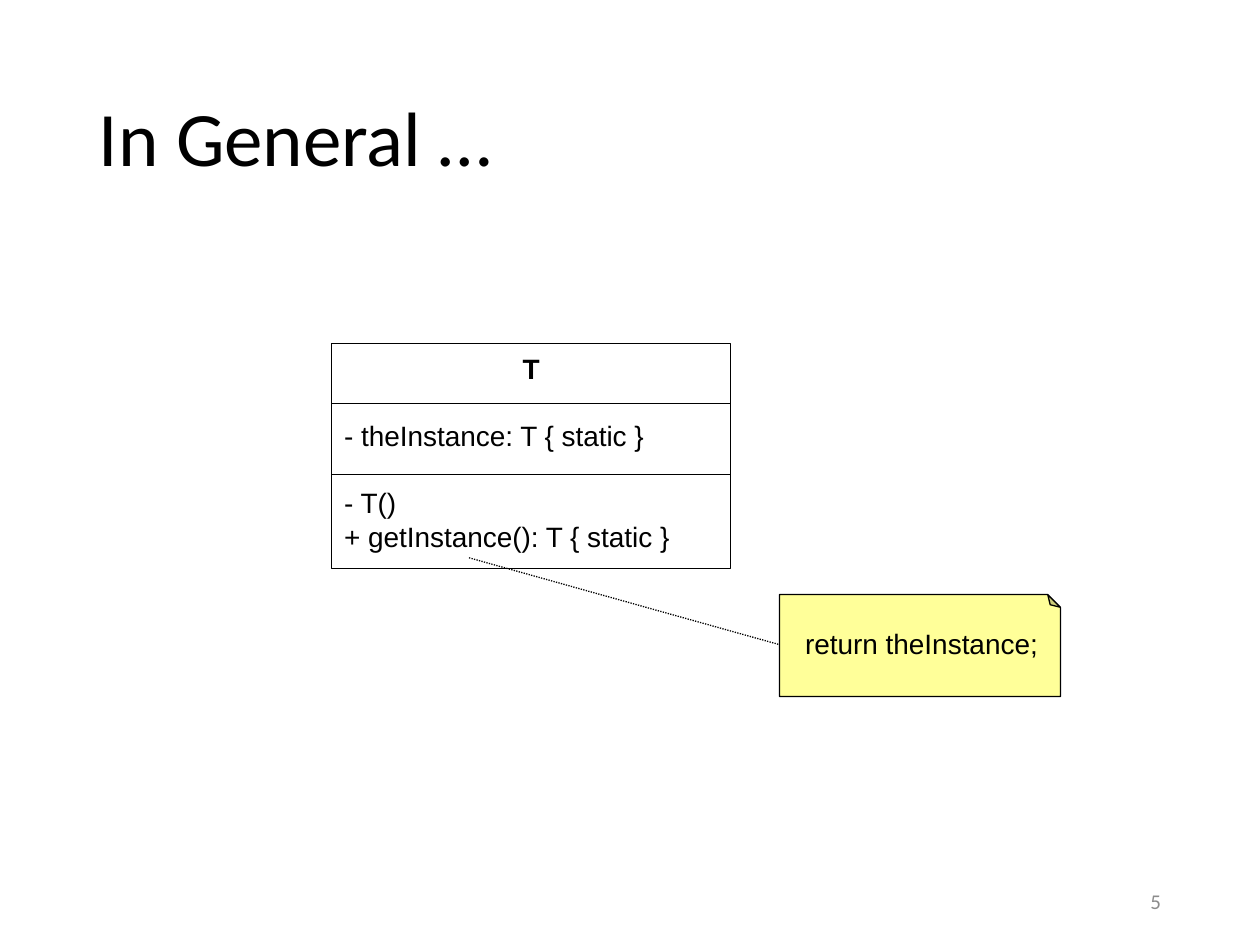
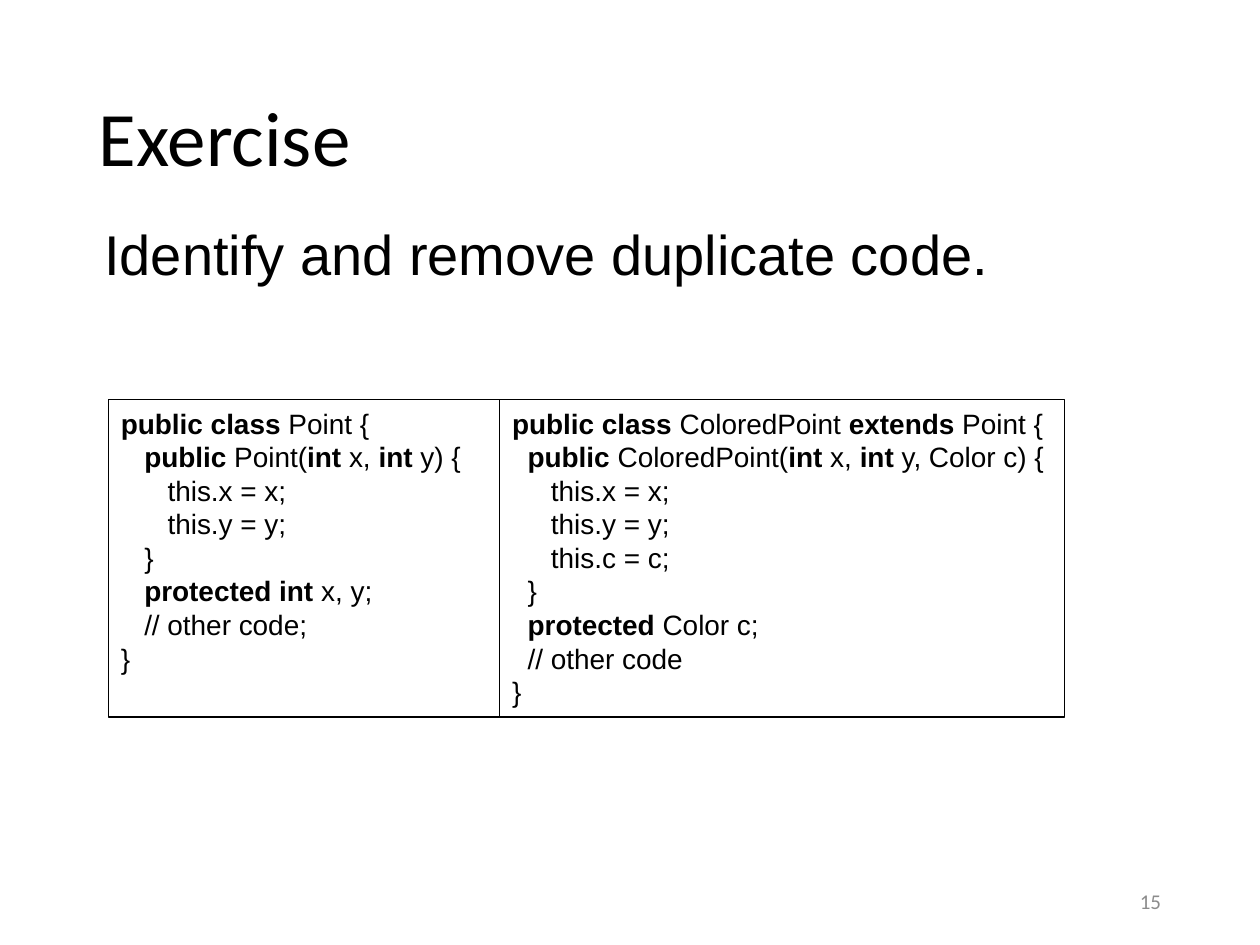
from lxml.etree import SubElement
from pptx import Presentation
from pptx.dml.color import RGBColor
from pptx.enum.dml import MSO_LINE
from pptx.enum.shapes import MSO_CONNECTOR, MSO_SHAPE
from pptx.enum.text import MSO_ANCHOR, PP_ALIGN
from pptx.oxml.ns import qn
from pptx.util import Pt

BLACK = "000000"
GREY = "8C8C8C"
NOTE_YELLOW = "FFFF99"
BODY_FONT = "Arial"
TITLE_FONT = "Calibri"
CODE_SIZE = 16
SPACE_WIDTH = 0.278 * CODE_SIZE

POINT_CODE = [
    "**public class** Point {",
    "   **public** Point(**int** x, **int** y) {",
    "      this.x = x;",
    "      this.y = y;",
    "   }",
    "   **protected int** x, y;",
    "   // other code;",
    "}",
]
COLORED_POINT_CODE = [
    "**public class** ColoredPoint **extends** Point {",
    "  **public** ColoredPoint(**int** x, **int** y, Color c) {",
    "     this.x = x;",
    "     this.y = y;",
    "     this.c = c;",
    "  }",
    "  **protected** Color c;",
    "  // other code",
    "}",
]


def paint(color_format, color):
    color_format.rgb = RGBColor.from_string(color)


def write(frame, lines, font=BODY_FONT, size=CODE_SIZE, color=BLACK,
          align=PP_ALIGN.LEFT, anchor=MSO_ANCHOR.TOP, spacing=None):
    frame.word_wrap = True
    frame.vertical_anchor = anchor
    for number, line in enumerate(lines):
        paragraph = frame.add_paragraph() if number else frame.paragraphs[0]
        paragraph.alignment = align
        paragraph.line_spacing = spacing
        code = line.lstrip()
        depth = len(line) - len(code)
        if depth:
            margin = Pt(depth * SPACE_WIDTH)
            paragraph._p.get_or_add_pPr().set("marL", str(margin))
        for position, part in enumerate(code.split("**")):
            if part:
                run = paragraph.add_run()
                run.text = part
                run.font.name = font
                run.font.size = Pt(size)
                run.font.bold = position % 2 == 1
                paint(run.font.color, color)


def add_text(slide, left, top, width, height, lines, **text_format):
    textbox = slide.shapes.add_textbox(Pt(left), Pt(top), Pt(width), Pt(height))
    write(textbox.text_frame, lines, **text_format)
    return textbox.text_frame


def add_box(slide, left, top, width, height, preset=MSO_SHAPE.RECTANGLE, fill=None):
    box = slide.shapes.add_shape(preset, Pt(left), Pt(top), Pt(width), Pt(height))
    box.shadow.inherit = False
    if fill:
        box.fill.solid()
        paint(box.fill.fore_color, fill)
    else:
        box.fill.background()
    paint(box.line.color, BLACK)
    box.line.width = Pt(0.75)
    return box


def add_line(slide, x1, y1, x2, y2, dash=None):
    line = slide.shapes.add_connector(
        MSO_CONNECTOR.STRAIGHT, Pt(x1), Pt(y1), Pt(x2), Pt(y2))
    paint(line.line.color, BLACK)
    line.line.width = Pt(0.75)
    if dash:
        line.line.dash_style = dash
    SubElement(line._element.spPr, qn("a:effectLst"))


def add_slide(presentation, title, number):
    slide = presentation.slides.add_slide(presentation.slide_layouts[6])
    add_text(slide, 49.5, 28.75, 621, 104.4, [title], font=TITLE_FONT, size=44,
             anchor=MSO_ANCHOR.MIDDLE, spacing=0.9)
    add_text(slide, 508.5, 500.5, 162, 28.75, [str(number)], font=TITLE_FONT,
             size=12, color=GREY, align=PP_ALIGN.RIGHT, anchor=MSO_ANCHOR.MIDDLE)
    return slide


def add_class_diagram(slide):
    left, top, width = 189.5, 196.5, 228
    add_box(slide, left, top, width, 128.25)
    members = add_text(slide, left, top + 0.75, width, 122.4, [
        "**T**",
        "- theInstance: T { static }",
        "- T()",
        "+ getInstance(): T { static }",
    ])
    heading, attribute, constructor = members.paragraphs[:3]
    heading.alignment = PP_ALIGN.CENTER
    for section_start in (attribute, constructor):
        section_start.space_before = Pt(19.2)
    for divider in (230.4, 271.2):
        add_line(slide, left, divider, left + width, divider)


def add_note(slide):
    note = add_box(slide, 445.5, 339.75, 160.5, 58.25,
                   MSO_SHAPE.FOLDED_CORNER, NOTE_YELLOW)
    properties = note._element.spPr
    properties.xfrm.set("flipV", "1")
    fold = properties.find(qn("a:prstGeom")).find(qn("a:avLst"))
    SubElement(fold, qn("a:gd"), name="adj", fmla="val 12500")
    add_text(slide, 453, 354.4, 150, 26.6, ["return theInstance;"])
    add_line(slide, 268, 318.75, 445.5, 368.4, MSO_LINE.ROUND_DOT)


def add_code_pair(slide):
    left = 62
    for width, code in ((223.5, POINT_CODE), (323, COLORED_POINT_CODE)):
        box = add_box(slide, left, 228.5, width, 181.25)
        write(box.text_frame, code)
        left += width


def main():
    presentation = Presentation()
    presentation.slide_width = Pt(720)
    presentation.slide_height = Pt(540)

    general = add_slide(presentation, "In General …", 5)
    add_class_diagram(general)
    add_note(general)

    exercise = add_slide(presentation, "Exercise", 15)
    add_code_pair(exercise)
    add_text(exercise, 52.5, 121.75, 523.5, 45.4,
             ["Identify and remove duplicate code."], size=32)

    presentation.save("out.pptx")


main()
